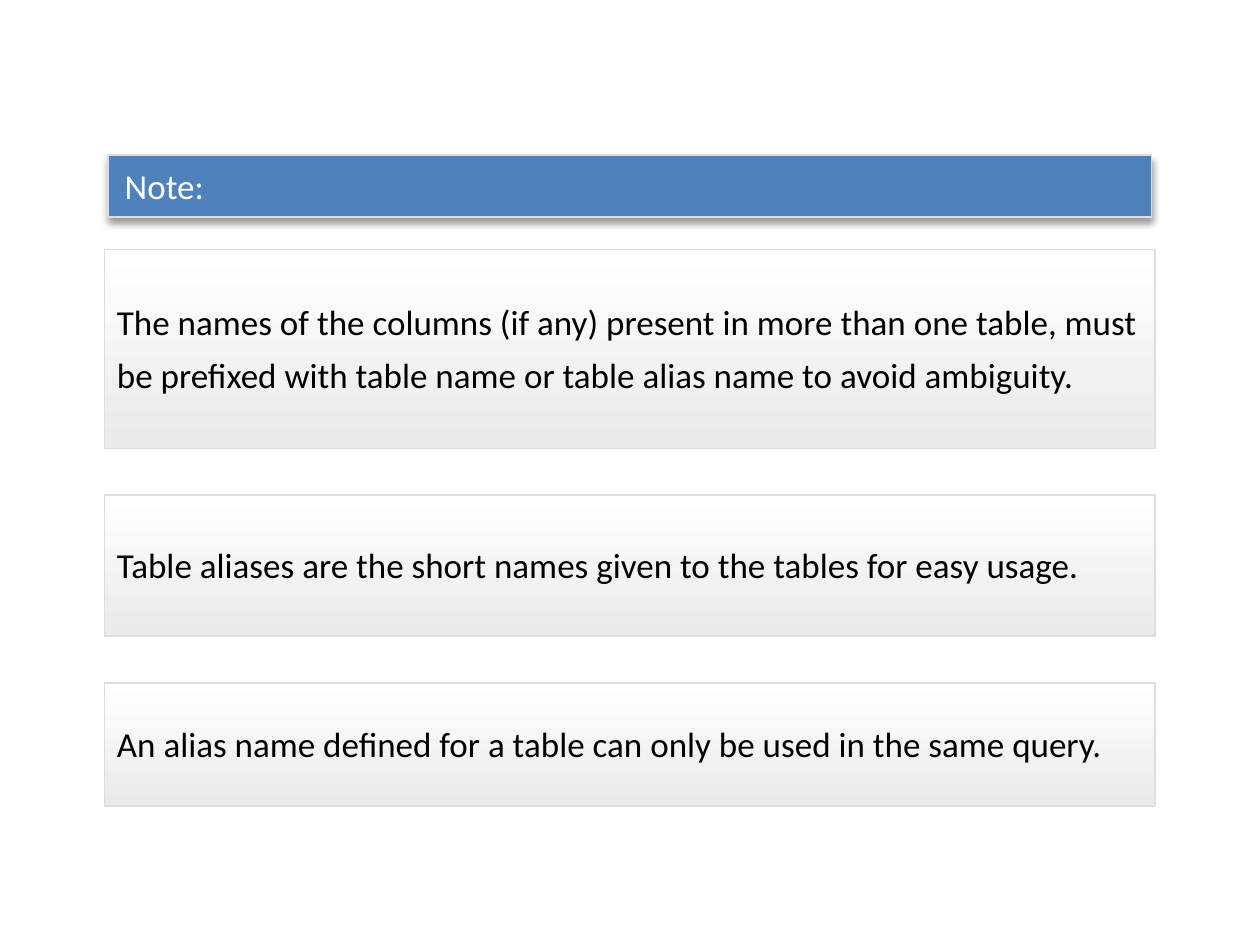
from dataclasses import dataclass

from lxml.etree import SubElement
from pptx import Presentation
from pptx.dml.color import RGBColor
from pptx.enum.shapes import MSO_SHAPE as Shape
from pptx.enum.text import MSO_ANCHOR as Anchor, PP_ALIGN as Align
from pptx.oxml.ns import qn
from pptx.util import Inches, Pt

COLUMNS, ROWS = 100, 75


@dataclass(frozen=True)
class Theme:
    font: str = "Calibri"
    text_size: float = 20
    line_spacing: float = 30
    border_width: float = 1
    header: str = "4F81BD"
    header_text: str = "FFFFFF"
    card_top: str = "FFFFFF"
    card_bottom: str = "EAEAEA"
    card_text: str = "000000"
    border: str = "DDDDDD"
    shadow: str = "000000"


class NoteSlide:
    """Draws on one slide; lengths are columns and rows of the grid."""

    def __init__(self, deck, theme):
        self.theme = theme
        self.column = deck.slide_width / COLUMNS
        self.row = deck.slide_height / ROWS
        self.slide = deck.slides.add_slide(deck.slide_layouts[6])

    def panel(self, left, top, width, height, text, color, insets):
        theme = self.theme
        panel = self.slide.shapes.add_shape(
            Shape.RECTANGLE,
            round(left * self.column), round(top * self.row),
            round(width * self.column), round(height * self.row))
        panel.shadow.inherit = False
        panel.line.color.rgb = RGBColor.from_string(theme.border)
        panel.line.width = Pt(theme.border_width)

        frame = panel.text_frame
        frame.word_wrap = True
        frame.vertical_anchor = Anchor.MIDDLE
        (frame.margin_left, frame.margin_top,
         frame.margin_right, frame.margin_bottom) = map(Inches, insets)
        paragraph = frame.paragraphs[0]
        paragraph.alignment = Align.LEFT
        run = paragraph.add_run()
        run.text = text
        run.font.name = theme.font
        run.font.size = Pt(theme.text_size)
        run.font.color.rgb = RGBColor.from_string(color)
        return panel

    def header(self, left, top, width, height, text):
        header = self.panel(left, top, width, height, text,
                            self.theme.header_text, (0.13, 0, 0, 0))
        header.fill.solid()
        header.fill.fore_color.rgb = RGBColor.from_string(self.theme.header)
        self.drop_shadow(header)

    def card(self, left, top, width, height, text):
        theme = self.theme
        card = self.panel(left, top, width, height, text,
                          theme.card_text, (0.1, 0, 0.1, 0.1))
        card.text_frame.paragraphs[0].line_spacing = Pt(theme.line_spacing)
        card.fill.gradient()
        card.fill.gradient_angle = 270  # counter-clockwise: runs downwards
        shades = (theme.card_top, theme.card_bottom)
        for position, (stop, shade) in enumerate(zip(card.fill.gradient_stops, shades)):
            stop.position = position
            stop.color.rgb = RGBColor.from_string(shade)

    def drop_shadow(self, panel):
        effects = panel.element.spPr.find(qn("a:effectLst"))
        shadow = SubElement(effects, qn("a:outerShdw"), blurRad=str(Pt(4)),
                            dist=str(Pt(3)), dir="5400000", rotWithShape="0")
        color = SubElement(shadow, qn("a:srgbClr"), val=self.theme.shadow)
        SubElement(color, qn("a:alpha"), val="40000")


def main():
    deck = Presentation()
    deck.slide_width, deck.slide_height = Inches(10), Inches(7.5)
    note = NoteSlide(deck, Theme())

    # Header bar
    note.header(8.6, 12.3, 82.8, 4.9, "Note:")

    # Stack of notes with equal gaps
    notes = (
        (15.8, "The names of the columns (if any) present in more than one table, "
               "must be prefixed with table name or table alias name to avoid ambiguity."),
        (11.2, "Table aliases are the short names given to the tables for easy usage."),
        (9.8, "An alias name defined for a table can only be used in the same query."),
    )
    top, gap = 19.8, 3.7
    for height, text in notes:
        note.card(8.3, top, 83.4, height, text)
        top += height + gap

    deck.save("out.pptx")


if __name__ == "__main__":
    main()
